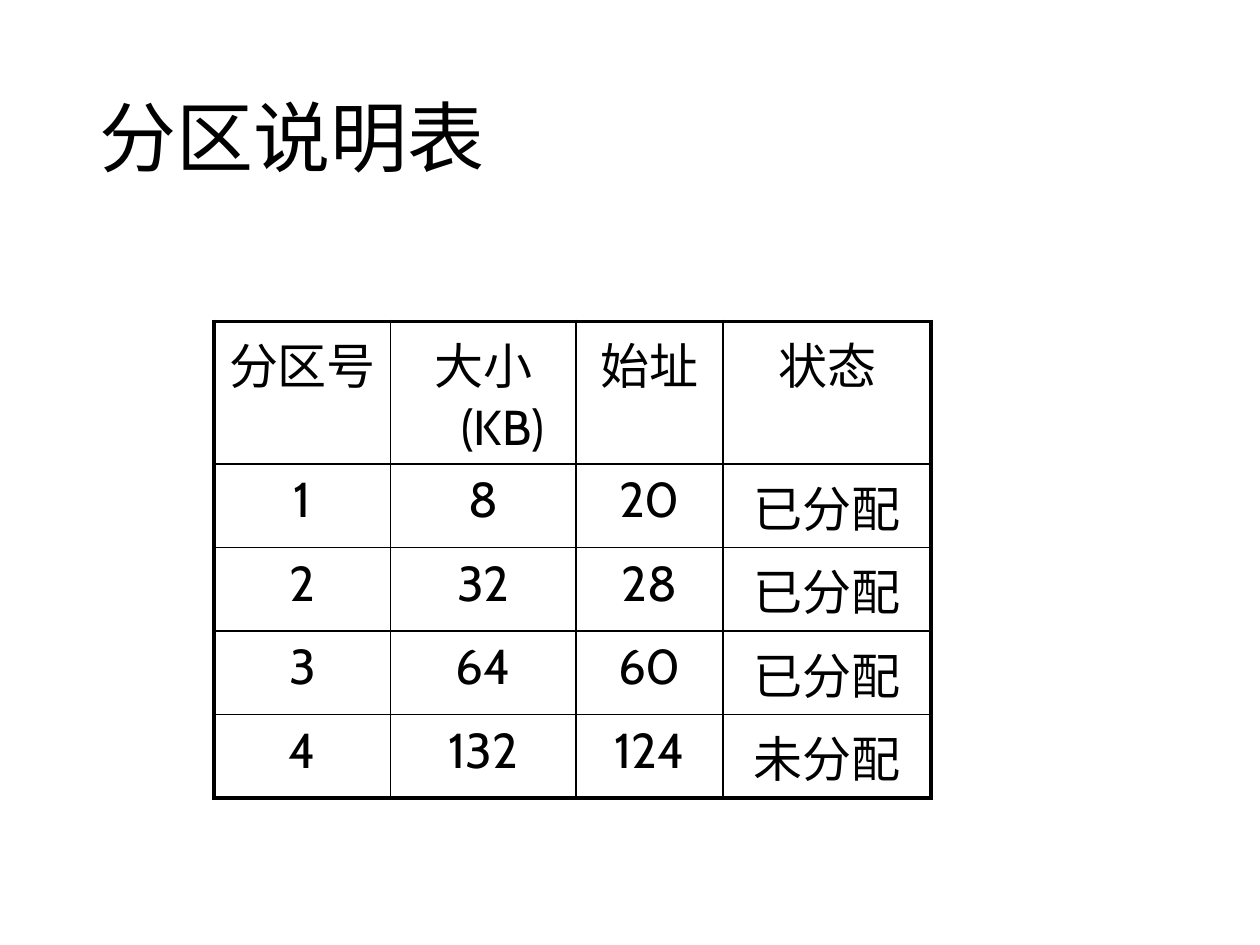
import pptx
import pptx.util
import pptx.oxml
import pptx.oxml.ns
import pptx.dml.color
import pptx.enum.text
from lxml import etree

Inches = pptx.util.Inches
Pt = pptx.util.Pt
ALIGN = pptx.enum.text.PP_ALIGN

TITLE = "分区说明表"
ROWS = [
    ("分区号", "大小(KB)", "始址", "状态"),
    ("1", "8", "20", "已分配"),
    ("2", "32", "28", "已分配"),
    ("3", "64", "60", "已分配"),
    ("4", "132", "124", "未分配"),
]
WIDTHS = (1.4, 1.47, 1.17, 1.65)
HEIGHTS = (0.88,) + (0.48,) * 4
THEME = {
    "ink": "000000",
    "head": ("Noto Sans CJK SC", 44),
    "body": ("Cabin", 28),
    "asian": "Noto Sans CJK SC",
    "thin": 1,
    "thick": 2.25,
    "indent": 0.31,
}


def style(para, kind, align):
    name, size = THEME[kind]
    para.alignment = align
    font = para.font
    font.name, font.size = name, Pt(size)
    font.color.rgb = pptx.dml.color.RGBColor.from_string(THEME["ink"])
    props = para._p.pPr.find(pptx.oxml.ns.qn("a:defRPr"))
    etree.SubElement(props, pptx.oxml.ns.qn("a:ea"), typeface=THEME["asian"])


def border(cell, side, width):
    cell._tc.get_or_add_tcPr().append(pptx.oxml.parse_xml(
        f'<a:ln{side} {pptx.oxml.ns.nsdecls("a")} w="{Pt(width)}">'
        f'<a:solidFill><a:srgbClr val="{THEME["ink"]}"/></a:solidFill>'
        f'</a:ln{side}>'))


def add_title(slide):
    title = slide.shapes.title
    title.left, title.top = Inches(0.69), Inches(0.4)
    title.width, title.height = Inches(8.62), Inches(1.45)
    frame = title.text_frame
    frame.text = TITLE
    frame.vertical_anchor = pptx.enum.text.MSO_ANCHOR.MIDDLE
    para = frame.paragraphs[0]
    para.line_spacing = 0.9
    style(para, "head", ALIGN.LEFT)


def add_grid(slide):
    rows, cols = len(ROWS), len(WIDTHS)
    grid = slide.shapes.add_table(
        rows, cols, Inches(1.7), Inches(2.55),
        Inches(sum(WIDTHS)), Inches(sum(HEIGHTS))).table
    grid.first_row = grid.horz_banding = False
    for col, width in zip(grid.columns, WIDTHS):
        col.width = Inches(width)
    for row, height in zip(grid.rows, HEIGHTS):
        row.height = Inches(height)
    for r, texts in enumerate(ROWS):
        for c, text in enumerate(texts):
            cell = grid.cell(r, c)
            cell.text = text
            para = cell.text_frame.paragraphs[0]
            style(para, "body", ALIGN.CENTER)
            props = para._p.get_or_add_pPr()
            props.set("marL", str(Inches(THEME["indent"])))
            props.set("indent", str(-Inches(THEME["indent"])))
            edges = {"L": c == 0, "R": c == cols - 1,
                     "T": r == 0, "B": r == rows - 1}
            for side, outer in edges.items():
                border(cell, side, THEME["thick" if outer else "thin"])
            cell.fill.background()


def main():
    deck = pptx.Presentation()
    deck.slide_width, deck.slide_height = Inches(10), Inches(7.5)
    slide = deck.slides.add_slide(deck.slide_layouts[5])
    add_title(slide)
    add_grid(slide)
    deck.save("out.pptx")


if __name__ == "__main__":
    main()
